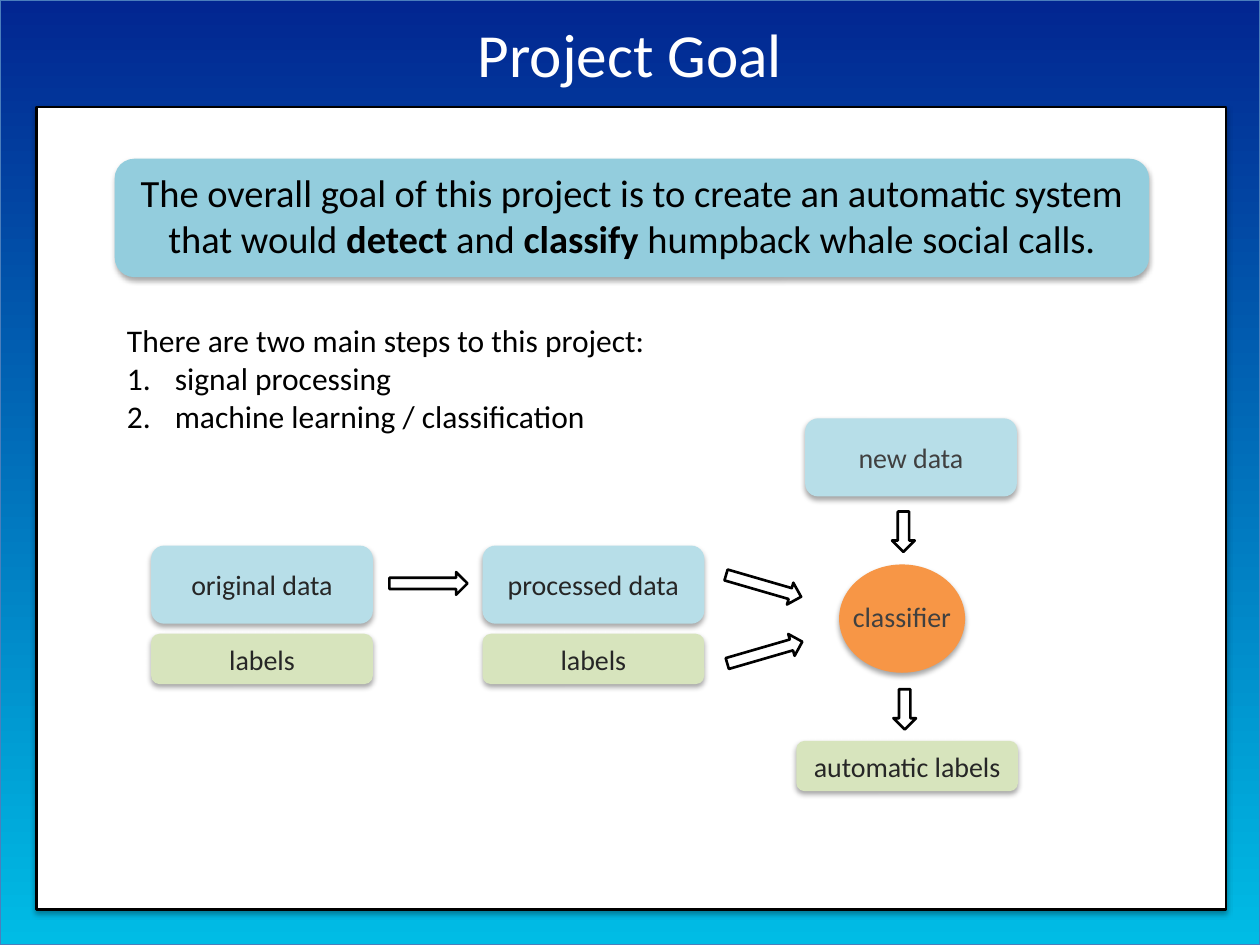
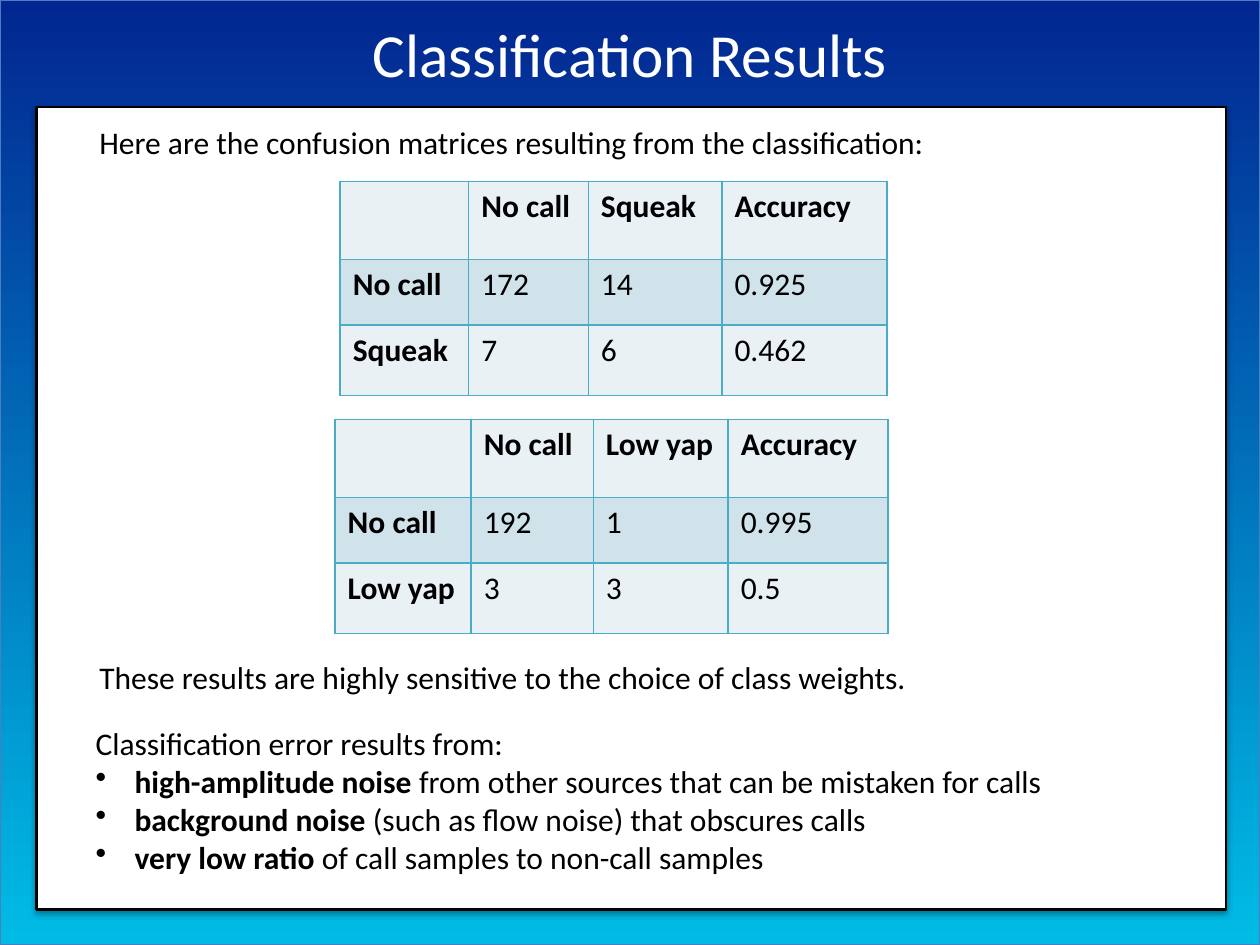
from lxml import etree
from pptx import Presentation
from pptx.dml.color import RGBColor
from pptx.enum import shapes, text
from pptx.oxml import ns, parse_xml
from pptx.util import Inches, Pt

FONT = "Calibri"
BLACK = RGBColor(0x00, 0x00, 0x00)
WHITE = RGBColor(0xFF, 0xFF, 0xFF)
DARK = RGBColor(0x26, 0x26, 0x26)
GREY = RGBColor(0x40, 0x40, 0x40)
NAVY = RGBColor(0x02, 0x26, 0x91)
CYAN = RGBColor(0x00, 0xBC, 0xE5)
EDGE = RGBColor(0x4B, 0x7E, 0xBC)
TEAL = RGBColor(0x93, 0xCD, 0xDD)
PALE_BLUE = RGBColor(0xB7, 0xDE, 0xE8)
PALE_GREEN = RGBColor(0xD7, 0xE4, 0xBD)
ORANGE = RGBColor(0xF7, 0x96, 0x46)
GRID = RGBColor(0x4B, 0xAC, 0xC6)
ROW_LIGHT = RGBColor(0xE9, 0xF1, 0xF5)
ROW_DARK = RGBColor(0xD0, 0xE3, 0xEA)

KIND = shapes.MSO_SHAPE
CENTER = text.PP_ALIGN.CENTER
LEFT = text.PP_ALIGN.LEFT
SHADOW = (
    f'<a:effectLst {ns.nsdecls("a")}><a:outerShdw blurRad="40000" dist="23000" '
    'dir="5400000" rotWithShape="0"><a:srgbClr val="000000">'
    '<a:alpha val="35000"/></a:srgbClr></a:outerShdw></a:effectLst>'
)
NUMBERED = ("buAutoNum", {"type": "arabicPeriod"})
BULLETED = ("buChar", {"char": "•"})


class Deck:
    """Holds the shared style and the slide being built."""

    def __init__(self):
        self.presentation = Presentation()
        self.presentation.slide_width = Inches(10)
        self.presentation.slide_height = Inches(7.5)
        self.layout = self.presentation.slide_layouts[5]
        self.page = None

    def add_page(self, title):
        first = self.page is None
        self.page = self.presentation.slides.add_slide(self.layout)
        if first:
            self.frame_layout()
        box = self.page.shapes.title
        box.left, box.top = Inches(0.5), Inches(0.18)
        box.width, box.height = Inches(9), Inches(0.48)
        box.text_frame.auto_size = text.MSO_AUTO_SIZE.NONE
        box.text_frame.vertical_anchor = text.MSO_ANCHOR.MIDDLE
        self.add_spans(box.text_frame.paragraphs[0], title, 35, WHITE, CENTER)

    def frame_layout(self):
        """Put the gradient backdrop and white panel on the shared layout."""
        backdrop = self.shape(KIND.RECTANGLE, 0, 0, 10, 7.5, None, EDGE, 0.75)
        backdrop.fill.gradient()
        backdrop.fill.gradient_angle = 270
        for stop, color in zip(backdrop.fill.gradient_stops, (NAVY, CYAN)):
            stop.color.rgb = color
        panel = self.shape(KIND.RECTANGLE, 0.29, 0.85, 9.44, 6.37, WHITE, BLACK, 1.5)
        tree = self.layout.shapes._spTree
        for index, box in enumerate((backdrop, panel)):
            box._element.nvSpPr.cNvPr.set("id", str(100 + index))
            tree.insert(2 + index, box._element)

    def add_spans(self, paragraph, content, size, color, align=LEFT):
        """Fill a paragraph; parts between ** marks are bold."""
        paragraph.alignment = align
        for index, part in enumerate(content.split("**")):
            if not part:
                continue
            span = paragraph.add_run()
            span.text = part
            span.font.name = FONT
            span.font.size = Pt(size)
            span.font.bold = index % 2 == 1
            span.font.color.rgb = color

    def shape(self, kind, left, top, width, height, fill=None, line=None,
              weight=1.5, shadow=True):
        box = self.page.shapes.add_shape(
            kind, Inches(left), Inches(top), Inches(width), Inches(height))
        box.shadow.inherit = False
        if fill is None:
            box.fill.background()
        else:
            box.fill.solid()
            box.fill.fore_color.rgb = fill
        if line is None:
            box.line.fill.background()
        else:
            box.line.color.rgb = line
            box.line.width = Pt(weight)
        if shadow:
            properties = box._element.spPr
            properties.replace(properties.find(ns.qn("a:effectLst")), parse_xml(SHADOW))
        return box

    def node(self, label, left, top, width, height, fill, color=DARK):
        box = self.shape(KIND.ROUNDED_RECTANGLE, left, top, width, height, fill)
        box.text_frame.vertical_anchor = text.MSO_ANCHOR.MIDDLE
        self.add_spans(box.text_frame.paragraphs[0], label, 16, color, CENTER)

    def arrow(self, left, top, width, rotation=0):
        box = self.shape(KIND.RIGHT_ARROW, left, top, width, 0.18, None, BLACK,
                         shadow=False)
        box.rotation = rotation

    def text_box(self, left, top, width, height, lines, size=18, color=BLACK,
                 align=LEFT, marker=None, indent=0, wrap=True):
        """Add lines of text; with a marker, all after the first form a list."""
        box = self.page.shapes.add_textbox(
            Inches(left), Inches(top), Inches(width), Inches(height))
        frame = box.text_frame
        frame.word_wrap = wrap
        for index, line in enumerate(lines):
            paragraph = frame.paragraphs[0] if index == 0 else frame.add_paragraph()
            if marker and index:
                properties = paragraph._p.get_or_add_pPr()
                properties.set("marL", str(Inches(indent)))
                properties.set("indent", str(-Inches(indent)))
                tag, attributes = marker
                etree.SubElement(properties, ns.qn(f"a:{tag}"), attributes)
            self.add_spans(paragraph, line, size, color, align)

    def border(self, cell):
        properties = cell._tc.get_or_add_tcPr()
        for side in ("lnL", "lnR", "lnT", "lnB"):
            properties.append(parse_xml(
                f'<a:{side} {ns.nsdecls("a")} w="12700"><a:solidFill>'
                f'<a:srgbClr val="{GRID}"/></a:solidFill></a:{side}>'))

    def matrix(self, left, top, widths, call, rows):
        """Confusion matrix of 'No call' against one kind of call."""
        names = ("No call", call)
        values = [("", *names, "Accuracy")]
        values += [(name, *row) for name, row in zip(names, rows)]
        heights = (0.62, 0.52, 0.56)
        table = self.page.shapes.add_table(
            len(heights), len(widths), Inches(left), Inches(top),
            Inches(sum(widths)), Inches(sum(heights))).table
        for column, width in zip(table.columns, widths):
            column.width = Inches(width)
        for r, height in enumerate(heights):
            table.rows[r].height = Inches(height)
            for c, value in enumerate(values[r]):
                cell = table.cell(r, c)
                self.border(cell)
                cell.fill.solid()
                cell.fill.fore_color.rgb = ROW_DARK if r == 1 else ROW_LIGHT
                heading = value and (r == 0 or c == 0)
                content = f"**{value}**" if heading else value
                self.add_spans(cell.text_frame.paragraphs[0], content, 18, BLACK)


def project_goal(deck):
    deck.add_page("Project Goal")

    # Goal banner and steps
    deck.shape(KIND.ROUNDED_RECTANGLE, 0.91, 1.26, 8.21, 0.94, TEAL)
    deck.text_box(0.91, 1.29, 8.21, 0.84, [
        "The overall goal of this project is to create an automatic system that "
        "would **detect** and **classify** humpback whale social calls."],
        size=22, align=CENTER)
    deck.text_box(0.91, 2.5, 5.47, 1.01, [
        "There are two main steps to this project:",
        "signal processing",
        "machine learning / classification"], marker=NUMBERED, indent=0.38)

    # Data and label nodes
    for left, stage in ((1.2, "original data"), (3.83, "processed data")):
        deck.node(stage, left, 4.33, 1.76, 0.62, PALE_BLUE)
        deck.node("labels", left, 5.03, 1.76, 0.4, PALE_GREEN)
    deck.node("new data", 6.39, 3.32, 1.68, 0.62, PALE_BLUE, GREY)
    deck.node("automatic labels", 6.32, 5.88, 1.76, 0.4, PALE_GREEN)

    # Classifier
    deck.shape(KIND.OVAL, 6.66, 4.48, 1, 0.86, ORANGE)
    deck.text_box(6.67, 4.71, 1, 0.37, ["classifier"], 16, GREY, wrap=False)

    # Flow arrows
    deck.arrow(3.09, 4.54, 0.62)
    deck.arrow(5.75, 4.56, 0.62, 16.2)
    deck.arrow(5.76, 5.09, 0.62, -16.2)
    deck.arrow(7.01, 4.13, 0.32, 90)
    deck.arrow(7.02, 5.54, 0.32, 90)


def classification_results(deck):
    deck.add_page("Classification Results")

    # Confusion matrices
    deck.text_box(0.69, 0.93, 8.49, 0.4, [
        "Here are the confusion matrices resulting from the classification:"])
    deck.matrix(2.7, 1.44, (1.02, 0.95, 1.06, 1.31), "Squeak",
                [("172", "14", "0.925"), ("7", "6", "0.462")])
    deck.matrix(2.66, 3.33, (1.08, 0.97, 1.07, 1.27), "Low yap",
                [("192", "1", "0.995"), ("3", "3", "0.5")])

    # Discussion
    deck.text_box(0.69, 5.17, 8.4, 0.41, [
        "These results are highly sensitive to the choice of class weights."])
    deck.text_box(0.66, 5.7, 8.49, 1.31, [
        "Classification error results from:",
        "**high-amplitude noise** from other sources that can be mistaken for calls",
        "**background noise** (such as flow noise) that obscures calls",
        "**very low ratio** of call samples to non-call samples"],
        marker=BULLETED, indent=0.31)


def main():
    deck = Deck()
    project_goal(deck)
    classification_results(deck)
    deck.presentation.save("out.pptx")


if __name__ == "__main__":
    main()
